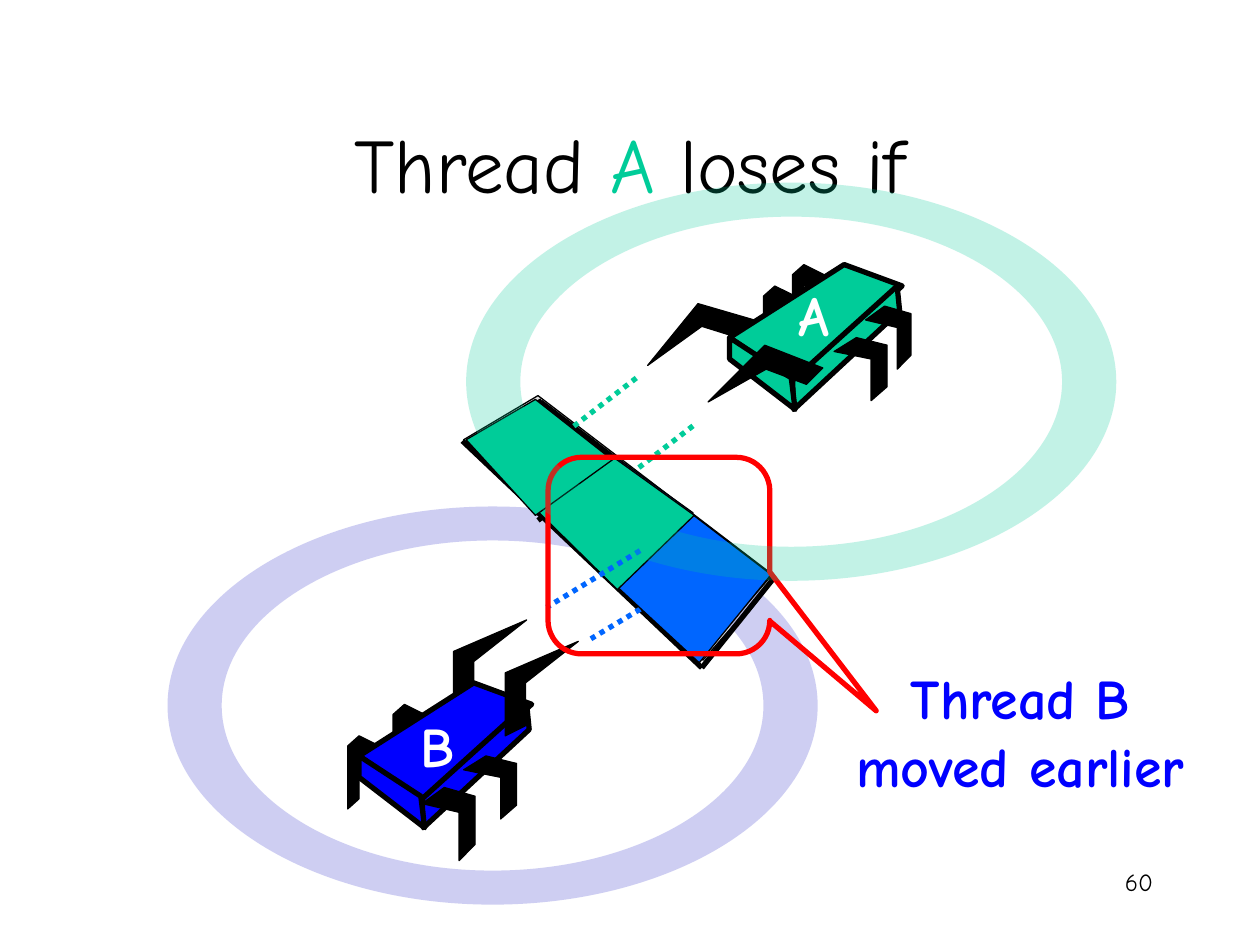
import pptx
import pptx.util
import pptx.dml.color
import pptx.enum.dml
import pptx.enum.shapes
import pptx.enum.text
import pptx.oxml
import pptx.oxml.ns
from lxml import etree

RGBColor = pptx.dml.color.RGBColor
BLACK = RGBColor(0, 0, 0)
WHITE = RGBColor(255, 255, 255)
GREY = RGBColor(0xDD, 0xDD, 0xDD)
GREEN = RGBColor(0x00, 0xCC, 0x99)
BLUE = RGBColor(0x00, 0x00, 0xFF)
SKY = RGBColor(0x00, 0x66, 0xFF)
INDIGO = RGBColor(0x33, 0x33, 0xCC)
RED = RGBColor(255, 0, 0)
FONT = "Comic Neue"
ALIGN = pptx.enum.text.PP_ALIGN

presentation = pptx.Presentation()
presentation.slide_width = pptx.util.Inches(10)
presentation.slide_height = pptx.util.Inches(7.5)
slide = presentation.slides.add_slide(presentation.slide_layouts[5])
# The slide is a grid of 10 columns by 7.5 rows of square cells
CELL = presentation.slide_width // 10


def add_outline(shapes, contours, fill=None, line=BLACK, width=0.75, closed=True):
    """Draw one freeform from contours given in grid cells."""
    builder = None
    for contour in contours:
        points = [(round(x * CELL), round(y * CELL)) for x, y in contour]
        if builder is None:
            builder = shapes.build_freeform(*points[0])
        else:
            builder.move_to(*points[0])
        builder.add_line_segments(points[1:], close=closed)
    shape = builder.convert_to_shape()
    shape.shadow.inherit = False
    if fill is None:
        shape.fill.background()
    else:
        shape.fill.solid()
        shape.fill.fore_color.rgb = fill
    if line is None:
        shape.line.fill.background()
    else:
        shape.line.color.rgb = line
        shape.line.width = pptx.util.Pt(width)
    return shape


def add_run(paragraph, text, size, color, bold=False):
    run = paragraph.add_run()
    run.text = text
    run.font.name = FONT
    run.font.size = pptx.util.Pt(size)
    run.font.bold = bold
    run.font.color.rgb = color


# Title
title = slide.shapes.title
title.left, title.top, title.width, title.height = [
    round(share * CELL) for share in (0.75, 0.67, 8.5, 1.25)]
title.text_frame.vertical_anchor = pptx.enum.text.MSO_ANCHOR.MIDDLE
paragraph = title.text_frame.paragraphs[0]
paragraph.alignment = ALIGN.CENTER
for text, color in (("Thread ", BLACK), ("A", GREEN), (" loses if", BLACK)):
    add_run(paragraph, text, 44, color)

# Grey strip under the memory cells
for contour in ([(5.51, 4.11), (4.9, 4.68), (5.58, 5.24), (6.14, 4.6)],
                [(4.27, 3.14), (3.68, 3.49), (5.54, 5.24), (6.13, 4.56)]):
    add_outline(slide.shapes, [contour], GREY)

# Rings around the threads: every three points are one quarter-ellipse curve
BEND = 0.55
QUARTERS = [(-1, 0), (-1, -BEND), (-BEND, -1), (0, -1), (BEND, -1), (1, -BEND), (1, 0),
            (1, BEND), (BEND, 1), (0, 1), (-BEND, 1), (-1, BEND), (-1, 0)]
rings = []
for center_x, center_y, color in ((3.91, 5.6, INDIGO), (6.28, 3.03, GREEN)):
    contours = [[(center_x + x * radius_x, center_y + y * radius_y * direction)
                 for x, y in QUARTERS]
                for radius_x, radius_y, direction in ((2.58, 1.58, 1), (2.15, 1.31, -1))]
    ring = add_outline(slide.shapes, contours, color, line=None)
    segments = list(ring._element.iter(pptx.oxml.ns.qn("a:lnTo")))
    for first, second, third in zip(segments[::3], segments[1::3], segments[2::3]):
        first.tag = pptx.oxml.ns.qn("a:cubicBezTo")
        for segment in (second, third):
            first.append(segment[0])
            segment.getparent().remove(segment)
    solid_color = next(ring._element.iter(pptx.oxml.ns.qn("a:srgbClr")))
    etree.SubElement(solid_color, pptx.oxml.ns.qn("a:alpha"), val="24000")
    rings.append(ring)

# Robots: claw, hind legs, body faces, front legs, claw
HIND_LEG = [(0.25, 0.08), (0.09, 0), (0, 0.08), (0, 0.58),
            (0.09, 0.5), (0.09, 0.16), (0.25, 0.25)]
FRONT_LEG = [(0.42, 0), (0, 0.22), (0.7, 0.34), (0.7, 1), (1, 0.78), (1, 0.12)]
CLAW = [(0, 0.75), (0.16, 0.67), (0.16, 0.33), (0.58, 0), (0, 0.25)]
BODY = [[(0.91, 0), (0, 0.58), (0.51, 0.93), (1.37, 0.17)],
        [(1.33, 0.17), (0.5, 0.92), (0.51, 1.15), (1.35, 0.37)],
        [(0, 0.58), (0, 0.75), (0.52, 1.15), (0.49, 0.9)]]
claws_b = [[(x + left, y + top) for x, y in CLAW]
           for left, top in ((3.6, 4.92), (4.01, 5.09))]
claws_a = [[(6.02, 2.55), (5.89, 2.69), (5.57, 2.59), (5.14, 2.9), (5.54, 2.41)],
           [(6.53, 2.92), (6.4, 3.05), (6.08, 2.93), (5.62, 3.19), (6.07, 2.74)]]
robots = (
    (BLUE, (2.85, 5.42), claws_b, ((2.76, 5.84), (3.12, 5.59)),
     ((3.35, 6.25, 0.42, 0.58), (3.68, 6, 0.42, 0.5))),
    (GREEN, (5.79, 2.1), claws_a, ((6.29, 2.1), (6.06, 2.27)),
     ((6.87, 2.43, 0.36, 0.5), (6.62, 2.68, 0.42, 0.5))),
)
for color, (body_left, body_top), claws, hind_legs, front_legs in robots:
    robot = slide.shapes.add_group_shape().shapes
    add_outline(robot, [claws[0]], BLACK)
    for left, top in hind_legs:
        add_outline(robot, [[(left + x, top + y) for x, y in HIND_LEG]], BLACK)
    for face in BODY:
        add_outline(robot, [[(body_left + x, body_top + y) for x, y in face]],
                    color, width=3)
    for left, top, width, height in front_legs:
        add_outline(robot, [[(left + x * width, top + y * height)
                             for x, y in FRONT_LEG]], BLACK)
    add_outline(robot, [claws[1]], BLACK)

# Strip edges
for edge in ([(3.67, 3.5), (5.57, 5.3)], [(5.57, 5.3), (6.14, 4.59)]):
    add_outline(slide.shapes, [edge], width=3, closed=False)

# Straight edges, then dotted beams from the claws
connectors = []
for start_x, start_y, end_x, end_y, color in (
        (4.29, 3.19, 6.14, 4.6, BLACK), (3.7, 3.52, 4.3, 3.18, BLACK),
        (4.92, 4.68, 5.54, 4.13, BLACK), (4.27, 4.13, 4.89, 3.67, BLACK),
        (5.05, 3, 4.35, 3.54, GREEN), (5.5, 3.38, 4.8, 3.92, GREEN),
        (5.44, 4.62, 4.69, 5.07, SKY), (5.08, 4.37, 4.34, 4.82, SKY)):
    connector = slide.shapes.add_connector(
        pptx.enum.shapes.MSO_CONNECTOR.STRAIGHT,
        *[round(value * CELL) for value in (start_x, start_y, end_x, end_y)])
    connector.line.color.rgb = color
    connector.line.width = pptx.util.Pt(3)
    if color != BLACK:
        connector.line.dash_style = pptx.enum.dml.MSO_LINE.ROUND_DOT
    etree.SubElement(connector._element.spPr, pptx.oxml.ns.qn("a:effectLst"))
    connectors.append(connector)

# Memory cells: blue pair, then green pair
for color, cells in (
        (SKY, ([(5.48, 4.07), (4.88, 4.64), (5.55, 5.26), (6.12, 4.56)],
               [(4.26, 4.04), (4.89, 4.66), (5.5, 4.07), (4.86, 3.61)])),
        (GREEN, ([(4.27, 4.06), (4.9, 4.68), (5.51, 4.09), (4.87, 3.63)],
                 [(4.25, 3.17), (3.7, 3.49), (4.25, 4.09), (4.86, 3.65)]))):
    pair = slide.shapes.add_group_shape().shapes
    for cell in cells:
        add_outline(pair, [cell], color)

# Labels and page number
for text, left, top, width, height, size, color, align, bold, wrap in (
        ("A", 6.15, 2.18, 0.53, 0.63, 32, WHITE, ALIGN.RIGHT, True, False),
        ("B", 3.23, 5.6, 0.48, 0.63, 32, WHITE, ALIGN.RIGHT, True, False),
        ("Thread B moved earlier", 6.51, 5.22, 3.18, 1.17, 32, BLUE,
         ALIGN.CENTER, True, True),
        ("60", 7.17, 6.83, 2.08, 0.5, 14, BLACK, ALIGN.RIGHT, False, True)):
    label = slide.shapes.add_textbox(
        *[round(value * CELL) for value in (left, top, width, height)])
    label.text_frame.word_wrap = wrap
    paragraph = label.text_frame.paragraphs[0]
    paragraph.alignment = align
    add_run(paragraph, text, size, color, bold)

# Last beam, callout and green ring lie on top
slide.shapes._spTree.append(connectors[-1]._element)
callout = slide.shapes.add_shape(
    pptx.enum.shapes.MSO_SHAPE.ROUNDED_RECTANGULAR_CALLOUT,
    *[round(value * CELL) for value in (4.35, 3.63, 1.76, 1.56)])
for index, value in enumerate((0.98, 0.79, 0.17)):
    callout.adjustments[index] = value
callout.shadow.inherit = False
callout.fill.background()
callout.line.color.rgb = RED
callout.line.width = pptx.util.Pt(3)
slide.shapes._spTree.append(rings[1]._element)

presentation.save("out.pptx")
